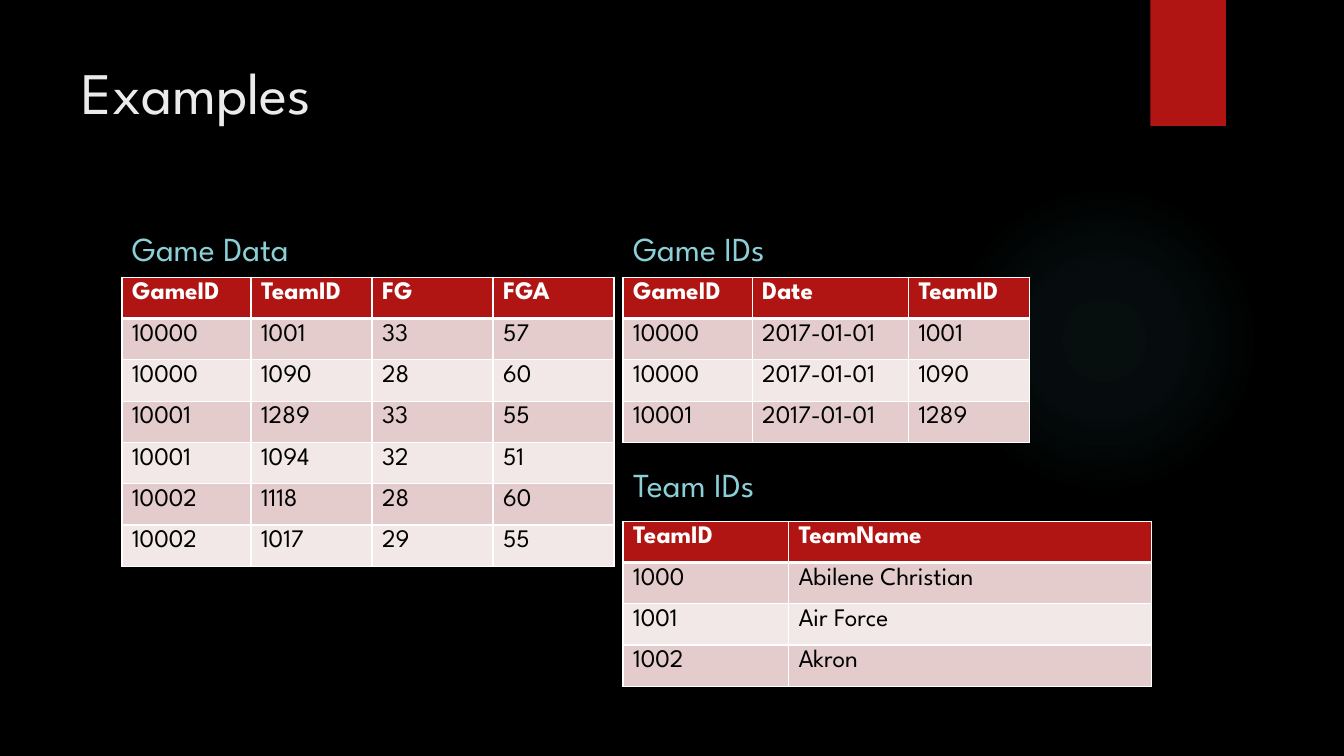
from lxml import etree
from pptx import Presentation
from pptx import util as u
from pptx.dml import color
from pptx.enum import shapes, text
from pptx.oxml import ns, parse_xml

FONT = "League Spartan"
RED, WHITE, BLACK, AQUA = "B01513", "FFFFFF", "000000", "8AD0D6"
BANDS = ["E4CCCC", "F2E8E7"]
ROW_HEIGHT = 0.41
HEADING_SIZE = (4.81, 0.63)

TITLE = "Examples"
GLOW_STOPS = [(0, 7), (36, 6), (69, 0)]
SECTIONS = [
    {"heading": "Game Data", "left": 1.21, "heading_top": 2.08, "table_top": 2.75,
     "widths": [1.28, 1.2, 1.2, 1.2],
     "rows": [("GameID", "TeamID", "FG", "FGA"),
              ("10000", "1001", "33", "57"),
              ("10000", "1090", "28", "60"),
              ("10001", "1289", "33", "55"),
              ("10001", "1094", "32", "51"),
              ("10002", "1118", "28", "60"),
              ("10002", "1017", "29", "55")]},
    {"heading": "Game IDs", "left": 6.18, "heading_top": 2.08, "table_top": 2.75,
     "widths": [1.28, 1.55, 1.2],
     "rows": [("GameID", "Date", "TeamID"),
              ("10000", "2017-01-01", "1001"),
              ("10000", "2017-01-01", "1090"),
              ("10001", "2017-01-01", "1289")]},
    {"heading": "Team IDs", "left": 6.18, "heading_top": 4.42, "table_top": 5.17,
     "widths": [1.64, 3.6],
     "rows": [("TeamID", "TeamName"),
              ("1000", "Abilene Christian"),
              ("1001", "Air Force"),
              ("1002", "Akron")]},
]


def rgb(value):
    return color.RGBColor.from_string(value)


def inches(*lengths):
    return [u.Inches(length) for length in lengths]


def write(frame, words, size=18, ink=BLACK, bold=False, before=0,
          anchor=text.MSO_ANCHOR.TOP):
    frame.word_wrap = True
    frame.vertical_anchor = anchor
    para = frame.paragraphs[0]
    para.space_before = u.Pt(before)
    span = para.add_run()
    span.text = words
    span.font.name = FONT
    span.font.size = u.Pt(size)
    span.font.bold = bold
    span.font.color.rgb = rgb(ink)


def add_text(page, at, words, **style):
    box = page.shapes.add_textbox(*inches(*at))
    write(box.text_frame, words, **style)


def add_plain(page, kind, at, fill):
    shape = page.shapes.add_shape(kind, *inches(*at))
    shape.shadow.inherit = False
    shape.line.fill.background()
    shape.fill.solid()
    shape.fill.fore_color.rgb = rgb(fill)
    return shape


def add_glow(page):
    glow = add_plain(page, shapes.MSO_SHAPE.OVAL, (9.41, 1.83, 3.08, 3.08), BLACK)
    stops = "".join(
        f'<a:gs pos="{place * 1000}"><a:srgbClr val="50B9C1">'
        f'<a:alpha val="{alpha * 1000}"/></a:srgbClr></a:gs>'
        for place, alpha in GLOW_STOPS)
    gradient = parse_xml(
        f'<a:gradFill {ns.nsdecls("a")}><a:gsLst>{stops}</a:gsLst>'
        '<a:path path="circle"><a:fillToRect l="50000" t="50000" r="50000" b="50000"/>'
        '</a:path></a:gradFill>')
    properties = glow.element.spPr
    properties.replace(properties.find(ns.qn("a:solidFill")), gradient)


def add_borders(cell, top, bottom):
    properties = cell._tc.get_or_add_tcPr()
    for side, points in (("L", 1), ("R", 1), ("T", top), ("B", bottom)):
        line = etree.SubElement(properties, ns.qn(f"a:ln{side}"), w=str(u.Pt(points)))
        fill = etree.SubElement(line, ns.qn("a:solidFill"))
        etree.SubElement(fill, ns.qn("a:srgbClr"), val=WHITE)


def add_grid(page, left, top, widths, rows):
    size = (sum(widths), ROW_HEIGHT * len(rows))
    frame = page.shapes.add_table(len(rows), len(widths), *inches(left, top, *size))
    table = frame.table
    table.first_row = table.horz_banding = False
    for column, width in zip(table.columns, widths):
        column.width = u.Inches(width)
    for r, values in enumerate(rows):
        table.rows[r].height = u.Inches(ROW_HEIGHT)
        header = r == 0
        for c, words in enumerate(values):
            cell = table.cell(r, c)
            add_borders(cell, top=3 if r == 1 else 1, bottom=3 if header else 1)
            cell.fill.solid()
            cell.fill.fore_color.rgb = rgb(RED if header else BANDS[(r - 1) % 2])
            write(cell.text_frame, words, ink=WHITE if header else BLACK, bold=header)


def main():
    deck = Presentation()
    deck.slide_width, deck.slide_height = inches(13.33, 7.5)
    page = deck.slides.add_slide(deck.slide_layouts[6])
    page.background.fill.solid()
    page.background.fill.fore_color.rgb = rgb(BLACK)

    add_glow(page)
    add_plain(page, shapes.MSO_SHAPE.RECTANGLE, (11.41, 0, 0.75, 1.25), RED)
    add_text(page, (0.71, 0.5, 10.29, 1.53), TITLE, size=42, ink="EBEBEB")
    for section in SECTIONS:
        add_text(page, (section["left"], section["heading_top"], *HEADING_SIZE),
                 section["heading"], size=24, ink=AQUA, before=10,
                 anchor=text.MSO_ANCHOR.BOTTOM)
        add_grid(page, section["left"], section["table_top"],
                 section["widths"], section["rows"])
    deck.save("out.pptx")


if __name__ == "__main__":
    main()
